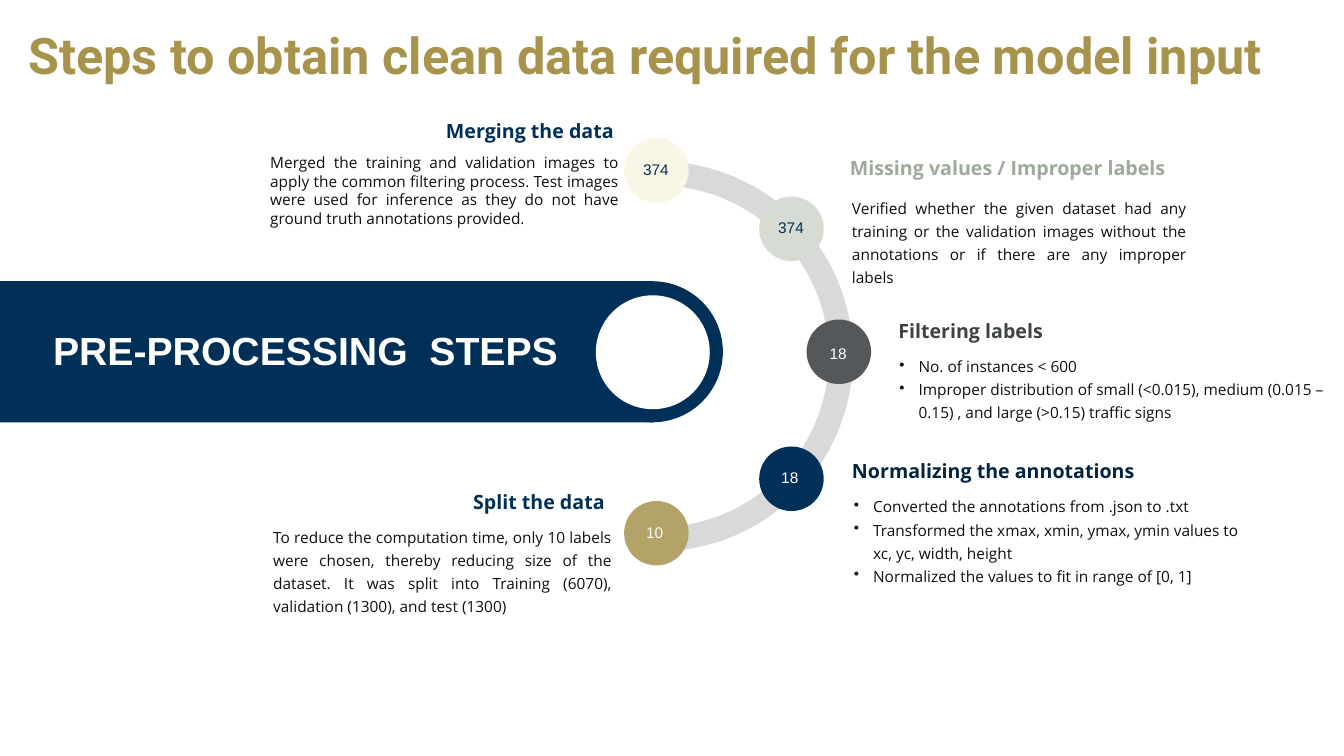
import pptx
import pptx.util
import pptx.dml.color
import pptx.enum.shapes
import pptx.enum.text
import pptx.oxml.ns
from lxml import etree

Inches = pptx.util.Inches
Pt = pptx.util.Pt
RGB = pptx.dml.color.RGBColor
Form = pptx.enum.shapes.MSO_SHAPE
Align = pptx.enum.text.PP_ALIGN
Anchor = pptx.enum.text.MSO_ANCHOR
Fit = pptx.enum.text.MSO_AUTO_SIZE

NAVY = RGB(0x00, 0x30, 0x57)
DARK = RGB(0x00, 0x24, 0x41)
GOLD = RGB(0xA7, 0x93, 0x4B)
SAND = RGB(0xB3, 0xA3, 0x69)
CREAM = RGB(0xF9, 0xF6, 0xE5)
SAGE = RGB(0x9E, 0xAA, 0x99)
MIST = RGB(0xD6, 0xDB, 0xD4)
SLATE = RGB(0x54, 0x58, 0x5A)
COAL = RGB(0x3F, 0x42, 0x44)
GREY = RGB(0xD9, 0xD9, 0xD9)
INK = RGB(0x0F, 0x0F, 0x0F)
WHITE = RGB(0xFF, 0xFF, 0xFF)

DOT = 0.64
INDENT = Inches(0.19)


class Board:
    """Holds the text style and the slide being drawn."""
    font = "Open Sans"
    label = "Arial"

    def __init__(self, slide):
        self.slide = slide

    def shape(self, form, box, fill):
        item = self.slide.shapes.add_shape(form, *map(Inches, box))
        item.shadow.inherit = False
        item.fill.solid()
        item.fill.fore_color.rgb = fill
        item.line.fill.background()
        return item

    def put_run(self, para, text, size, color, font, bold=False):
        run = para.add_run()
        run.text = text
        run.font.size = Pt(size)
        run.font.name = font
        run.font.bold = bold
        run.font.color.rgb = color

    def bullet(self, para):
        props = para._p.get_or_add_pPr()
        props.set("marL", str(INDENT))
        props.set("indent", str(-INDENT))
        mark = etree.SubElement(props, pptx.oxml.ns.qn("a:buChar"))
        mark.set("char", "•")

    def text(self, box, lines, size, color, font=None, bold=False,
             align=Align.LEFT, space=1.0, bullets=False):
        """Add a text box without insets, one paragraph a line."""
        frame = self.slide.shapes.add_textbox(*map(Inches, box)).text_frame
        frame.word_wrap = True
        frame.margin_left = frame.margin_right = 0
        frame.margin_top = frame.margin_bottom = 0
        for i, line in enumerate(lines):
            para = frame.add_paragraph() if i else frame.paragraphs[0]
            if bullets:
                self.bullet(para)
            para.alignment = align
            para.line_spacing = space
            self.put_run(para, line, size, color, font or self.font, bold)

    def head(self, box, line, color, align=Align.LEFT):
        self.text(box, [line], 14, color, bold=True, align=align, space=0.9)

    def count(self, left, top, value, color):
        """Add the number that lies on a dot."""
        box = self.slide.shapes.add_textbox(
            Inches(left), Inches(top), Inches(0.54), Inches(0.29))
        frame = box.text_frame
        frame.word_wrap = True
        frame.auto_size = Fit.SHAPE_TO_FIT_TEXT
        self.put_run(frame.paragraphs[0], value, 11, color, self.label)

    def title(self, box, line):
        item = self.slide.shapes.title
        item.left, item.top, item.width, item.height = map(Inches, box)
        frame = item.text_frame
        frame.word_wrap = True
        frame.auto_size = Fit.NONE
        frame.vertical_anchor = Anchor.TOP
        para = frame.paragraphs[0]
        para.alignment = Align.LEFT
        para.line_spacing = 0.9
        self.put_run(para, line, 36, GOLD, "Roboto", True)


# dot left, top, fill; number left, top, value, colour
DOTS = [
    (6.19, 1.37, CREAM, 6.28, 1.54, "374", NAVY),
    (7.53, 1.95, MIST, 7.62, 2.11, "374", NAVY),
    (8.0, 3.17, SLATE, 8.13, 3.36, "18", WHITE),
    (7.53, 4.43, NAVY, 7.65, 4.59, "18", WHITE),
    (6.19, 4.97, SAND, 6.31, 5.14, "10", WHITE),
]

# heading box, heading, colour, align; body box, lines, line spacing
STEPS = [
    ((2.47, 1.21, 3.67, 0.52), "Merging the data ", NAVY, Align.RIGHT,
     (2.68, 1.52, 3.46, 0.88),
     ["Merged the training and validation images to apply the common "
      "filtering process. Test images were used for inference as they do "
      "not have ground truth annotations provided."], 1.0),
    ((8.43, 1.57, 3.62, 0.28), "Missing values / Improper labels", SAGE,
     Align.LEFT, (8.45, 1.93, 3.32, 0.61),
     ["Verified whether the given dataset had any training or the "
      "validation images without the annotations or if there are any "
      "improper labels"], 1.25),
    ((8.91, 3.19, 3.01, 0.31), "Filtering labels", COAL, Align.LEFT,
     (8.92, 3.5, 4.22, 0.61),
     ["No. of instances < 600",
      "Improper distribution of small (<0.015), medium (0.015 – 0.15) , "
      "and large (>0.15) traffic signs"], 1.25),
    ((8.45, 4.58, 3.32, 0.31), "Normalizing the annotations", DARK,
     Align.LEFT, (8.47, 4.89, 3.94, 0.61),
     ["Converted the annotations from .json to .txt",
      "Transformed the xmax, xmin, ymax, ymin values to xc, yc, width, "
      "height",
      "Normalized the values to fit in range of [0, 1]"], 1.25),
    ((3.35, 4.89, 2.7, 0.29), "Split the data ", NAVY, Align.RIGHT,
     (2.71, 5.19, 3.36, 0.61),
     ["To reduce the computation time, only 10 labels were chosen, thereby "
      "reducing size of the dataset. It was split into Training (6070), "
      "validation (1300), and test (1300)"], 1.25),
]


def main():
    deck = pptx.Presentation()
    deck.slide_width = Inches(13.33)
    deck.slide_height = Inches(7.5)
    board = Board(deck.slides.add_slide(deck.slide_layouts[5]))

    board.title((0.18, 0.26, 13.15, 0.95),
                "Steps to obtain clean data required for the model input")

    arc = board.shape(Form.BLOCK_ARC, (4.59, 1.6, 3.87, 3.87), GREY)
    # angles count 0.6 a degree: from the top round to the bottom
    arc.adjustments[0] = 270 * 0.6
    arc.adjustments[1] = 90 * 0.6
    arc.adjustments[2] = 0.062

    for left, top, fill, *label in DOTS:
        board.shape(Form.OVAL, (left, top, DOT, DOT), fill)
        board.count(*label)

    for spot, name, color, align, box, lines, space in STEPS:
        many = len(lines) > 1
        board.text(box, lines, 11, INK, space=space, bullets=many,
                   align=Align.LEFT if many else Align.JUSTIFY)
        board.head(spot, name, color, align)

    board.shape(Form.RECTANGLE, (-0.04, 2.79, 6.52, 1.4), NAVY)
    board.shape(Form.OVAL, (5.77, 2.79, 1.4, 1.4), NAVY)
    board.shape(Form.OVAL, (5.91, 2.93, 1.13, 1.13), WHITE)
    board.text((-0.04, 3.24, 6.14, 0.89), ["PRE-PROCESSING  STEPS"], 28,
               WHITE, font=board.label, bold=True, align=Align.CENTER)

    deck.save("out.pptx")


if __name__ == "__main__":
    main()
